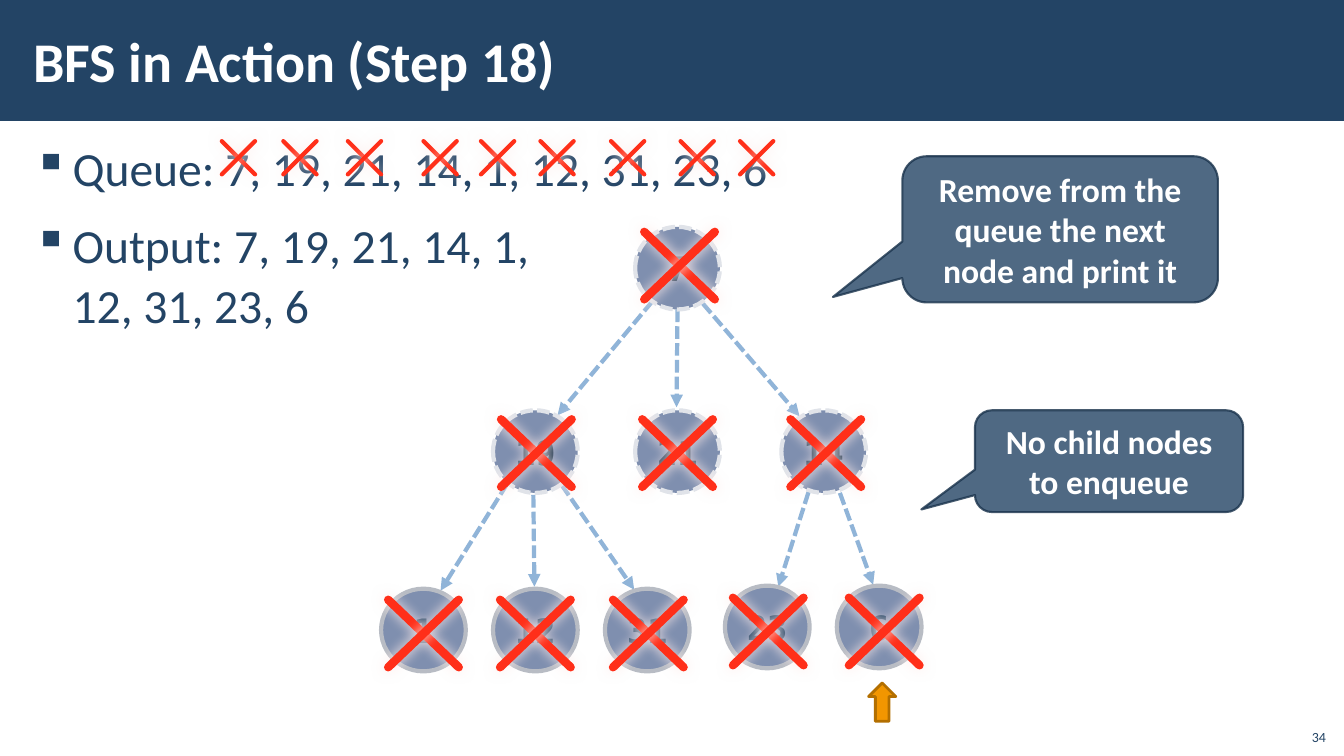
"""Build the slide on step 18 of a breadth-first search."""
from dataclasses import dataclass

from lxml.etree import SubElement
from pptx import Presentation
from pptx.dml.color import RGBColor
from pptx.enum.dml import MSO_LINE
from pptx.enum.shapes import MSO_CONNECTOR, MSO_SHAPE
from pptx.enum.text import MSO_ANCHOR, PP_ALIGN
from pptx.oxml.ns import qn
from pptx.util import Pt

PX = 9144


@dataclass(frozen=True)
class Theme:
    navy: str = "234465"
    dark: str = "1A334C"
    white: str = "FFFFFF"
    visited: str = "7F8FAF"
    visited_rim: str = "E0E3E9"
    leaf: str = "002060"
    leaf_rim: str = "B8BCC4"
    edge: str = "90B4D8"
    cross: str = "FF2F19"
    glow: str = "FFEDEB"
    pointer: str = "F29600"
    pointer_rim: str = "B36F00"
    text_font: str = "Calibri"
    node_font: str = "DejaVu Sans Mono"
    title_size: int = 40
    body_size: int = 34
    label_size: int = 24
    number_size: int = 10


def apply_format(target, values):
    for name, value in values.items():
        setattr(target, name, value)


def set_color(fill, color, alpha=100):
    fill.solid()
    fill.fore_color.rgb = RGBColor.from_string(color)
    if alpha < 100:
        element = fill._xPr.find(qn("a:solidFill"))[0]
        SubElement(element, qn("a:alpha"), val=str(alpha * 1000))


class SlideBuilder:
    def __init__(self, slide, theme):
        self.slide = slide
        self.theme = theme

    def fill_text(self, shape, paragraphs, font, frame=None, layout=None, bullet=None):
        text_frame = shape.text_frame
        apply_format(text_frame, {"word_wrap": True, **(frame or {})})
        font = {"name": self.theme.text_font, **font}
        color = RGBColor.from_string(font.pop("color"))
        for index, text in enumerate(paragraphs):
            paragraph = text_frame.add_paragraph() if index else text_frame.paragraphs[0]
            paragraph.text = text
            if bullet:
                properties = paragraph._p.get_or_add_pPr()
                properties.set("marL", str(39 * PX))
                properties.set("indent", str(-39 * PX))
                SubElement(properties, qn("a:buChar"), char=bullet)
            apply_format(paragraph, layout or {})
            if index:
                paragraph.space_before = Pt(6)
            for run in paragraph.runs:
                apply_format(run.font, font)
                run.font.color.rgb = color

    def text(self, box, paragraphs, font, **options):
        shape = self.slide.shapes.add_textbox(*(value * PX for value in box))
        self.fill_text(shape, paragraphs, font, **options)

    def shape(self, kind, box, fill, rim=None, width=0, alpha=100, rim_alpha=100):
        shape = self.slide.shapes.add_shape(kind, *(value * PX for value in box))
        shape.shadow.inherit = False
        set_color(shape.fill, fill, alpha)
        if rim:
            set_color(shape.line.fill, rim, rim_alpha)
            shape.line.width = Pt(width)
        else:
            shape.line.fill.background()
        return shape

    def line(self, start, end, color, width):
        points = (value * PX for value in (*start, *end))
        line = self.slide.shapes.add_connector(MSO_CONNECTOR.STRAIGHT, *points)
        set_color(line.line.fill, color)
        line.line.width = Pt(width)
        effects = SubElement(line._element.spPr, qn("a:effectLst"))
        return line, effects

    def edge(self, start, end):
        line, _ = self.line(start, end, self.theme.edge, 3)
        line.line.dash_style = MSO_LINE.SQUARE_DOT
        SubElement(line.line._ln, qn("a:tailEnd"), type="triangle")

    def cross(self, left, top, width, height, weight):
        right, bottom = left + width, top + height
        for start, end in (((left, top), (right, bottom)), ((right, top), (left, bottom))):
            line, effects = self.line(start, end, self.theme.cross, weight)
            line.line._ln.set("cap", "rnd")
            shadow = SubElement(effects, qn("a:outerShdw"), blurRad=str(Pt(10)),
                                dist="0", dir="5400000", algn="ctr", rotWithShape="0")
            SubElement(shadow, qn("a:srgbClr"), val=self.theme.glow)

    def node(self, label, left, top, is_leaf):
        theme = self.theme
        box = (left, top, 84, 82)
        if is_leaf:
            shape = self.shape(MSO_SHAPE.OVAL, box, theme.leaf, theme.leaf_rim, 3, alpha=50)
        else:
            shape = self.shape(MSO_SHAPE.OVAL, box, theme.visited, theme.visited_rim, 3)
            shape.line.dash_style = MSO_LINE.SQUARE_DOT
        self.fill_text(shape, [label],
                       {"name": theme.node_font, "size": Pt(theme.label_size), "bold": True,
                        "color": theme.navy if is_leaf else theme.dark},
                       frame={"word_wrap": False, "vertical_anchor": MSO_ANCHOR.MIDDLE},
                       layout={"alignment": PP_ALIGN.CENTER})

    def callout(self, box, text, tip):
        theme = self.theme
        shape = self.shape(MSO_SHAPE.ROUNDED_RECTANGULAR_CALLOUT, box, theme.navy,
                           theme.dark, 1.5, alpha=80, rim_alpha=80)
        for index, value in enumerate((*tip, 0.167)):
            shape.adjustments[index] = value
        self.fill_text(shape, [text],
                       {"size": Pt(theme.label_size), "bold": True, "color": theme.white},
                       frame={"vertical_anchor": MSO_ANCHOR.MIDDLE},
                       layout={"alignment": PP_ALIGN.CENTER})


EDGES = [
    ((647, 299), (553, 412)), ((672, 307), (671, 404)), ((697, 301), (793, 413)),
    ((503, 480), (437, 586)), ((529, 491), (530, 582)), ((557, 481), (629, 585)),
    ((802, 488), (772, 582)), ((833, 489), (866, 580)),
]
NODE_ROWS = [
    (225, 230, False, [("7", 630, 639)]),
    (407, 416, False, [("19", 489, 497), ("21", 630, 637), ("14", 775, 784)]),
    (584, 595, True, [("1", 378, 385), ("12", 489, 496), ("31", 600, 608)]),
    (581, 593, True, [("23", 719, 727), ("6", 830, 842)]),
]
QUEUE_CROSSES = [220, 281, 345, 420, 477, 536, 606, 675, 734]


def main():
    presentation = Presentation()
    presentation.slide_width = 1333 * PX
    presentation.slide_height = 750 * PX
    theme = Theme()
    builder = SlideBuilder(presentation.slides.add_slide(presentation.slide_layouts[6]), theme)
    insets = {"margin_left": 12 * PX, "margin_right": 12 * PX,
              "margin_top": 4 * PX, "margin_bottom": 4 * PX}

    builder.shape(MSO_SHAPE.RECTANGLE, (0, 0, 1333, 120), theme.navy)
    builder.text((21, 131, 1292, 605),
                 ["Queue: 7, 19, 21, 14, 1, 12, 31, 23, 6",
                  "Output: 7, 19, 21, 14, 1,\n12, 31, 23, 6"],
                 {"size": Pt(theme.body_size), "color": theme.navy},
                 frame=insets, layout={"line_spacing": 1.05, "space_after": Pt(6)}, bullet="▪")
    builder.text((21, 11, 1063, 97), ["BFS in Action (Step 18)"],
                 {"size": Pt(theme.title_size), "bold": True, "color": theme.white},
                 frame={**insets, "vertical_anchor": MSO_ANCHOR.MIDDLE})

    for start, end in EDGES:
        builder.edge(start, end)
    for top, _, is_leaf, nodes in NODE_ROWS:
        for label, left, _ in nodes:
            builder.node(label, left, top, is_leaf)
    for _, cross_top, _, nodes in NODE_ROWS:
        for _, _, cross_left in nodes:
            builder.cross(cross_left, cross_top, 70, 67, 6)

    pointer = builder.shape(MSO_SHAPE.RIGHT_ARROW, (856, 683, 38, 27),
                            theme.pointer, theme.pointer_rim, 2)
    pointer.rotation = 270
    builder.callout((967, 407, 266, 101), "No child nodes to enqueue", (-0.7, 0.475))
    builder.callout((895, 155, 313, 145),
                    "Remove from the queue the next node and print it", (-0.72, 0.463))
    for left in QUEUE_CROSSES:
        builder.cross(left, 140, 33, 33, 3)
    builder.text((1285, 712, 40, 32), ["34"],
                 {"size": Pt(theme.number_size), "color": theme.navy},
                 frame={"vertical_anchor": MSO_ANCHOR.BOTTOM},
                 layout={"alignment": PP_ALIGN.RIGHT})
    presentation.save("out.pptx")


if __name__ == "__main__":
    main()
